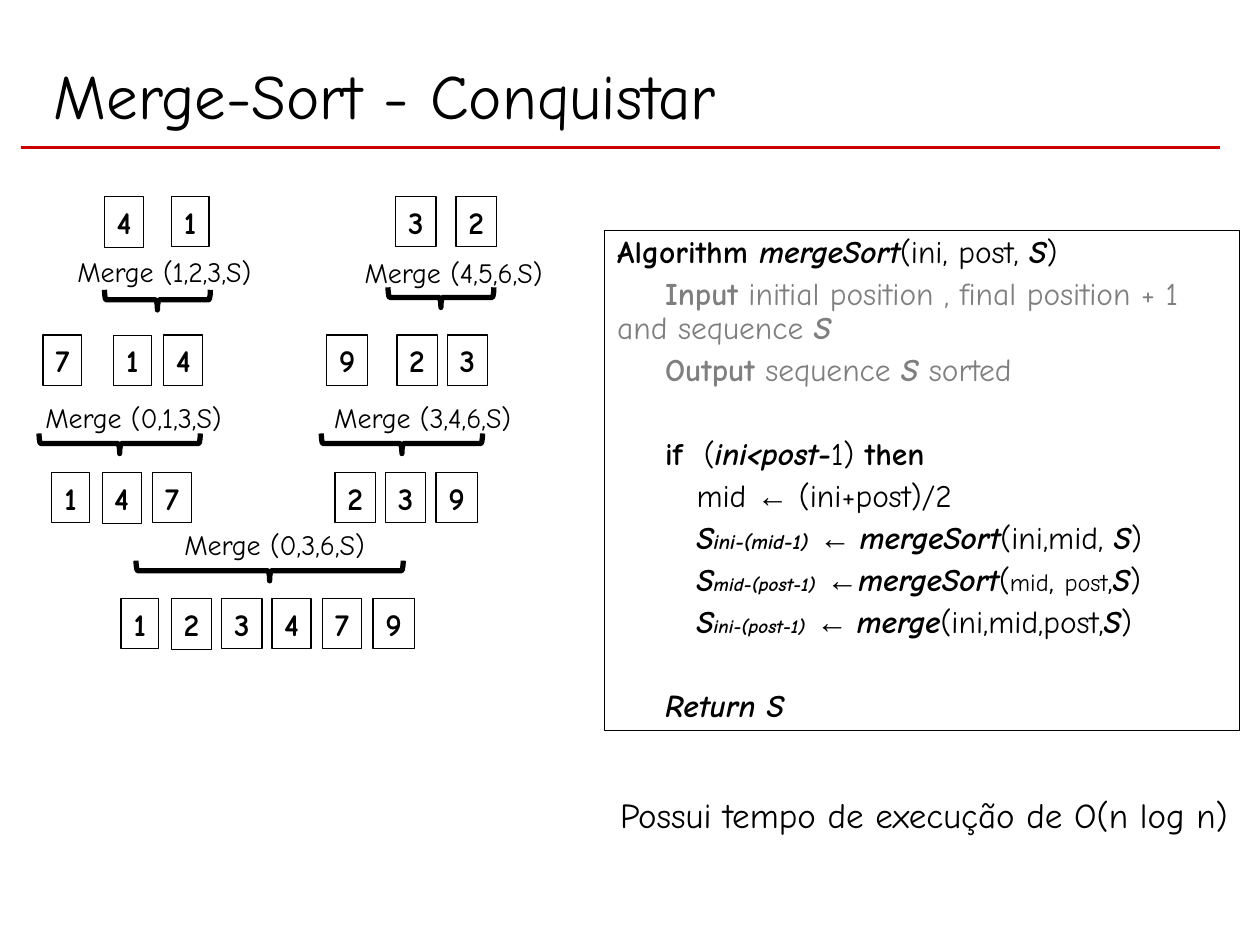
import pptx
import pptx.dml.color
import pptx.enum.shapes
import pptx.enum.text
import pptx.oxml.ns
import pptx.util
from typing import NamedTuple

Inches = pptx.util.Inches
Pt = pptx.util.Pt
PP_ALIGN = pptx.enum.text.PP_ALIGN
MSO_SHAPE = pptx.enum.shapes.MSO_SHAPE
COLORS = {"ink": "000000", "muted": "7F7F7F", "rule": "CC0000"}
FONT = "Comic Neue"
CELL_PITCH = 0.4
CELL_HEIGHT = 0.4
CELL_WIDTHS = {"1": 0.3, "2": 0.32, "3": 0.32, "4": 0.31, "7": 0.31, "9": 0.33}
BRACE_DEPTH = 0.16


class Span(NamedTuple):
    text: str
    style: str = ""
    size: float = 18
    font: str = FONT


class CodeLine(NamedTuple):
    spans: list[Span]
    left: float = 0
    first: float = 0
    before: float = 4.5
    color: str = "ink"


class Cells(NamedTuple):
    digits: str
    left: float
    top: float
    thin: str = ""


class Label(NamedTuple):
    text: str
    left: float
    top: float
    width: float
    height: float = 0.37
    size: float = 16
    align: PP_ALIGN = PP_ALIGN.CENTER


class Brace(NamedTuple):
    left: float
    top: float
    length: float


CELLS = [
    Cells("4", 0.83, 1.56, "4"), Cells("1", 1.36, 1.56),
    Cells("3", 3.14, 1.56), Cells("2", 3.62, 1.56),
    Cells("7", 0.34, 2.66), Cells("14", 0.9, 2.66, "1"),
    Cells("9", 2.59, 2.66), Cells("23", 3.15, 2.66),
    Cells("147", 0.41, 3.75, "4"), Cells("239", 2.66, 3.75),
    Cells("123479", 0.96, 4.75, "2"),
]
LABELS = [
    Label("Possui tempo de execução de O(n log n)", 4.81, 6.25, 5.05, 0.77, 20),
    Label("Merge (1,2,3,S)", 0.51, 1.97, 1.59),
    Label("Merge (4,5,6,S)", 2.79, 1.98, 1.62),
    Label("Merge (0,1,3,S)", 0.26, 3.13, 1.6),
    Label("Merge (3,4,6,S)", 2.55, 3.13, 1.61),
    Label("Merge (0,3,6,S)", 1.36, 4.14, 1.64),
]
BRACES = [
    Brace(0.83, 2.3, 0.84), Brace(3.08, 2.28, 0.84),
    Brace(0.31, 3.44, 1.28), Brace(2.55, 3.44, 1.28),
    Brace(1.08, 4.45, 2.12),
]
SEQUENCE = Span("S", "bi")
ARROW = Span("←", font="Arial")
SPACED_ARROW = Span("← ", font="Arial")
CODE = [
    CodeLine([Span("Algorithm ", "b"), Span("mergeSort", "bi"),
              Span("(ini, post, "), SEQUENCE, Span(")")]),
    CodeLine([Span("Input", "b"),
              Span(" initial position , final position + 1 and sequence "),
              SEQUENCE], first=0.38, color="muted"),
    CodeLine([Span("Output", "b"), Span(" sequence "), SEQUENCE,
              Span(" sorted")], first=0.38, color="muted"),
    CodeLine([Span("if", "b"), Span("  ("), Span("ini<post-", "bi"),
              Span("1) "), Span("then", "b")], left=0.38, before=28.5),
    CodeLine([Span("mid "), ARROW, Span(" (ini+post)/2")], left=0.63),
    CodeLine([SEQUENCE, Span("ini-(mid-1)", "bi", 12), Span(" "), SPACED_ARROW,
              Span("mergeSort", "bi"), Span("(ini,mid, "), SEQUENCE,
              Span(")")], left=0.63),
    CodeLine([SEQUENCE, Span("mid-(post-1)", "bi", 11), Span(" "), ARROW,
              Span("mergeSort", "bi"), Span("("), Span("mid", size=14),
              Span(", "), Span("post", size=14), Span(","), SEQUENCE,
              Span(")")], left=0.63),
    CodeLine([SEQUENCE, Span("ini-(post-1)", "bi", 11), Span(" "), SPACED_ARROW,
              Span("merge", "bi"), Span("(ini,mid,post,"), SEQUENCE,
              Span(")")], left=0.63),
    CodeLine([Span("Return S", "bi")], left=0.38, before=28.5),
]


def rgb(name: str) -> pptx.dml.color.RGBColor:
    return pptx.dml.color.RGBColor.from_string(COLORS[name])


def add_span(para, span: Span, color: str = "ink") -> None:
    run = para.add_run()
    run.text = span.text
    run.font.name = span.font
    run.font.size = Pt(span.size)
    run.font.bold = "b" in span.style
    run.font.italic = "i" in span.style
    run.font.color.rgb = rgb(color)


def add_outline(page, kind: MSO_SHAPE, left: float, top: float,
                width: float, height: float, weight: float):
    shape = page.shapes.add_shape(
        kind, Inches(left), Inches(top), Inches(width), Inches(height))
    shape.shadow.inherit = False
    shape.fill.background()
    shape.line.color.rgb = rgb("ink")
    shape.line.width = Pt(weight)
    shape.text_frame.vertical_anchor = pptx.enum.text.MSO_ANCHOR.TOP
    return shape


def draw_cells(page, cells: Cells) -> None:
    for index, digit in enumerate(cells.digits):
        box = add_outline(page, MSO_SHAPE.RECTANGLE,
                          cells.left + index * CELL_PITCH, cells.top,
                          CELL_WIDTHS[digit], CELL_HEIGHT,
                          0.25 if digit == cells.thin else 0.75)
        box.text_frame.word_wrap = False
        para = box.text_frame.paragraphs[0]
        para.alignment = PP_ALIGN.CENTER
        add_span(para, Span(digit, "b"))


def draw_label(page, label: Label):
    box = page.shapes.add_textbox(Inches(label.left), Inches(label.top),
                                  Inches(label.width), Inches(label.height))
    box.text_frame.word_wrap = False
    para = box.text_frame.paragraphs[0]
    para.alignment = label.align
    add_span(para, Span(label.text, size=label.size))
    return box


def draw_brace(page, brace: Brace) -> None:
    offset = (brace.length - BRACE_DEPTH) / 2
    shape = add_outline(page, MSO_SHAPE.LEFT_BRACE, brace.left + offset,
                        brace.top - offset, BRACE_DEPTH, brace.length, 3)
    shape.rotation = 270


def draw_code(page, lines: list[CodeLine]) -> None:
    box = add_outline(page, MSO_SHAPE.RECTANGLE, 4.8, 1.83, 5.04, 3.97, 0.75)
    frame = box.text_frame
    frame.word_wrap = True
    for index, line in enumerate(lines):
        para = frame.add_paragraph() if index else frame.paragraphs[0]
        para.alignment = PP_ALIGN.LEFT
        para.line_spacing = 0.9
        para.space_before = Pt(line.before)
        properties = para._p.get_or_add_pPr()
        properties.set("marL", str(Inches(line.left)))
        properties.set("indent", str(Inches(line.first)))
        for span in line.spans:
            add_span(para, span, line.color)


def draw_title(page) -> None:
    rule = page.shapes.add_connector(
        pptx.enum.shapes.MSO_CONNECTOR.STRAIGHT,
        Inches(0.17), Inches(1.17), Inches(9.68), Inches(1.17))
    rule.line.color.rgb = rgb("rule")
    rule.line.width = Pt(1.5)
    rule._element.spPr.append(pptx.oxml.parse_xml(
        f"<a:effectLst {pptx.oxml.ns.nsdecls('a')}/>"))
    title = draw_label(page, Label("Merge-Sort - Conquistar", 0.33, 0.25, 9, 1,
                                   36, PP_ALIGN.LEFT))
    title.text_frame.word_wrap = True
    title.text_frame.vertical_anchor = pptx.enum.text.MSO_ANCHOR.MIDDLE


def main() -> None:
    deck = pptx.Presentation()
    deck.slide_width = Inches(10)
    deck.slide_height = Inches(7.5)
    page = deck.slides.add_slide(deck.slide_layouts[6])
    draw_title(page)
    draw_code(page, CODE)
    for cells in CELLS:
        draw_cells(page, cells)
    for brace in BRACES:
        draw_brace(page, brace)
    for label in LABELS:
        draw_label(page, label)
    deck.save("out.pptx")


if __name__ == "__main__":
    main()
